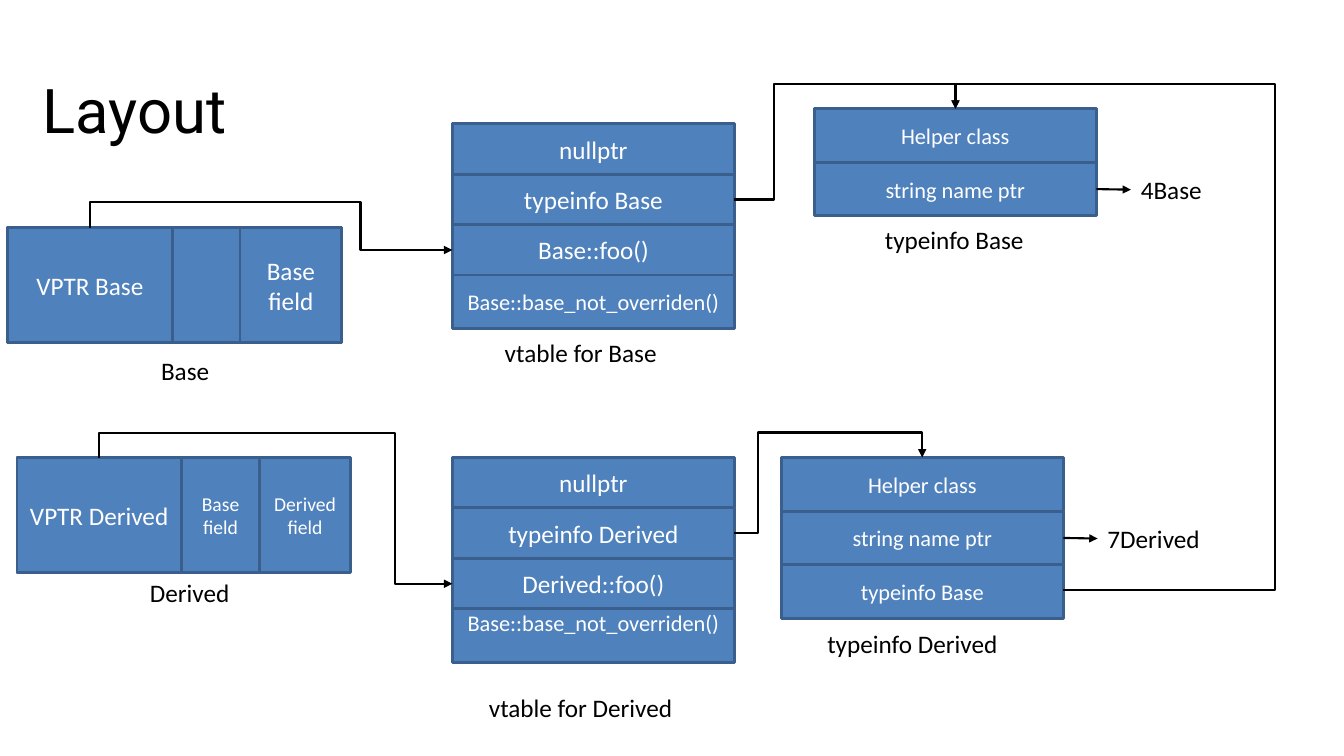
"""Build the slide showing the memory layout of Base and Derived objects."""
from collections import namedtuple

from lxml.etree import SubElement
from pptx import Presentation
from pptx.dml.color import RGBColor
from pptx.enum.shapes import MSO_CONNECTOR as Link, MSO_SHAPE as Preset
from pptx.enum.text import MSO_ANCHOR as Anchor, MSO_AUTO_SIZE as AutoSize, PP_ALIGN as Align
from pptx.oxml.ns import qn
from pptx.util import Cm, Pt

Theme = namedtuple("Theme", "ink paper fill edge heading font title body small tiny border arrow")
theme = Theme(
    ink=RGBColor(0, 0, 0), paper=RGBColor(255, 255, 255),
    fill=RGBColor(0x4F, 0x81, 0xBD), edge=RGBColor(0x3A, 0x5F, 0x8C),
    heading="Roboto", font="Calibri",
    title=Pt(44), body=Pt(18), small=Pt(16), tiny=Pt(14),
    border=Pt(2), arrow=Pt(1.5),
)


def add_cell(shapes, place, text="", size=theme.body):
    cell = shapes.add_shape(Preset.RECTANGLE, *map(Cm, place))
    cell.shadow.inherit = False
    cell.fill.solid()
    cell.fill.fore_color.rgb = theme.fill
    cell.line.color.rgb = theme.edge
    cell.line.width = theme.border
    frame = cell.text_frame
    frame.word_wrap = True
    frame.vertical_anchor = Anchor.MIDDLE
    words = frame.paragraphs[0]
    words.text = text
    words.alignment = Align.CENTER
    words.font.name, words.font.size = theme.font, size
    words.font.color.rgb = theme.paper
    return cell


def add_arrow(kind, *ends):
    arrow = slide.shapes.add_connector(kind, *map(Cm, ends))
    arrow.line.color.rgb = theme.ink
    arrow.line.width = theme.arrow
    outline = arrow.element.spPr.find(qn("a:ln"))
    SubElement(outline, qn("a:tailEnd"), type="triangle")
    SubElement(arrow.element.spPr, qn("a:effectLst"))
    return arrow


deck = Presentation()
deck.slide_width, deck.slide_height = Cm(33.87), Cm(19.05)
slide = deck.slides.add_slide(deck.slide_layouts[5])

heading = slide.shapes.title
heading.left, heading.top, heading.width, heading.height = map(Cm, (1.07, 1.78, 5.28, 1.93))
frame = heading.text_frame
frame.margin_left = frame.margin_top = frame.margin_right = frame.margin_bottom = 0
frame.vertical_anchor = Anchor.MIDDLE
words = frame.paragraphs[0]
words.text = "Layout"
words.alignment = Align.LEFT
words.font.name, words.font.size = theme.heading, theme.title
words.font.color.rgb = theme.ink

objects = [
    (0.18, 5.74, 8.43, [(0.18, 4.17, "VPTR Base", theme.body),
                        (6.05, 2.56, "Base field", theme.body)]),
    (0.43, 11.53, 8.38, [(0.43, 4.14, "VPTR Derived", theme.body),
                         (4.57, 1.98, "Base field", theme.tiny),
                         (6.55, 2.28, "Derived field", theme.tiny)]),
]
for left, top, width, fields in objects:
    record = slide.shapes.add_group_shape().shapes
    add_cell(record, (left, top, width, 2.9))
    for field_left, field_width, text, size in fields:
        add_cell(record, (field_left, top, field_width, 2.9), text, size)

block_width, slot_height, entry_height = 7.11, 1.27, 1.35
for name, top in (("Base", 3.12), ("Derived", 11.53)):
    vtable = slide.shapes.add_group_shape().shapes
    for row, text in enumerate(("nullptr", f"typeinfo {name}", f"{name}::foo()")):
        add_cell(vtable, (11.4, top + row * slot_height, block_width, slot_height), text)
    inherited = add_cell(vtable, (11.4, top + 3 * slot_height, block_width, entry_height),
                         "Base::base_not_overriden()", theme.small)
inherited.text_frame.vertical_anchor = Anchor.TOP
inherited.text_frame.margin_top = 0

typeinfos = [
    (20.52, 2.74, ["Helper class", "string name ptr"]),
    (19.69, 11.53, ["Helper class", "string name ptr", "typeinfo Base"]),
]
name_pointers = []
for left, top, entries in typeinfos:
    rows = [add_cell(slide.shapes, (left, top + row * entry_height, block_width, entry_height),
                     text, theme.small) for row, text in enumerate(entries)]
    name_pointers.append(rows[1])

captions = [
    ("Base", 3.81, 8.84, 2.11),
    ("Derived", 3.53, 14.43, 2.77),
    ("vtable for Base", 12.47, 8.38, 4.88),
    ("vtable for Derived", 12.07, 17.32, 5.72),
    ("typeinfo Base", 22.05, 5.54, 4.75),
    ("typeinfo Derived", 20.6, 15.7, 5.79),
    ("4Base", 28.5, 4.27, 2.34),
    ("7Derived", 27.66, 13.06, 3.18),
]
labels = {}
for text, left, top, width in captions:
    label = slide.shapes.add_textbox(Cm(left), Cm(top), Cm(width), Cm(1.02))
    label.text_frame.word_wrap = True
    label.text_frame.auto_size = AutoSize.SHAPE_TO_FIT_TEXT
    words = label.text_frame.paragraphs[0]
    words.text = text
    words.font.name, words.font.size = theme.font, theme.body
    words.font.color.rgb = theme.ink
    labels[text] = label

for pointer, mangled in zip(name_pointers, ("4Base", "7Derived")):
    arrow = add_arrow(Link.STRAIGHT, 0, 0, 1, 1)
    arrow.begin_connect(pointer, 3)
    arrow.end_connect(labels[mangled], 1)

routes = [
    (2.26, 5.74, 11.4, 6.3, 9.09, 5.1, True),
    (2.49, 11.53, 11.4, 14.71, 9.96, 10.9, True),
    (18.5, 5.03, 24.08, 2.74, 19.51, 2.11, False),
    (18.5, 13.44, 23.24, 11.53, 19.1, 10.9, False),
    (26.8, 14.88, 24.08, 2.74, 32.13, 2.11, False),
]
for x0, y0, x1, y1, turn_x, turn_y, leaves_upward in routes:
    bends = [(turn_x - x0) / (x1 - x0), (turn_y - y0) / (y1 - y0)]
    ends = (x0, y0, x1, y1)
    if leaves_upward:
        bends.reverse()
        mid_x, mid_y = (x0 + x1) / 2, (y0 + y1) / 2
        half_x, half_y = (y1 - y0) / 2, (x1 - x0) / 2
        ends = (mid_x + half_x, mid_y - half_y, mid_x - half_x, mid_y + half_y)
    properties = add_arrow(Link.ELBOW, *ends).element.spPr
    if leaves_upward:
        properties.find(qn("a:xfrm")).set("rot", "16200000")
    geometry = properties.find(qn("a:prstGeom"))
    geometry.set("prst", "bentConnector4")
    for number, bend in enumerate(bends, 1):
        SubElement(geometry.find(qn("a:avLst")), qn("a:gd"),
                   name=f"adj{number}", fmla=f"val {round(bend * 100000)}")

deck.save("out.pptx")
